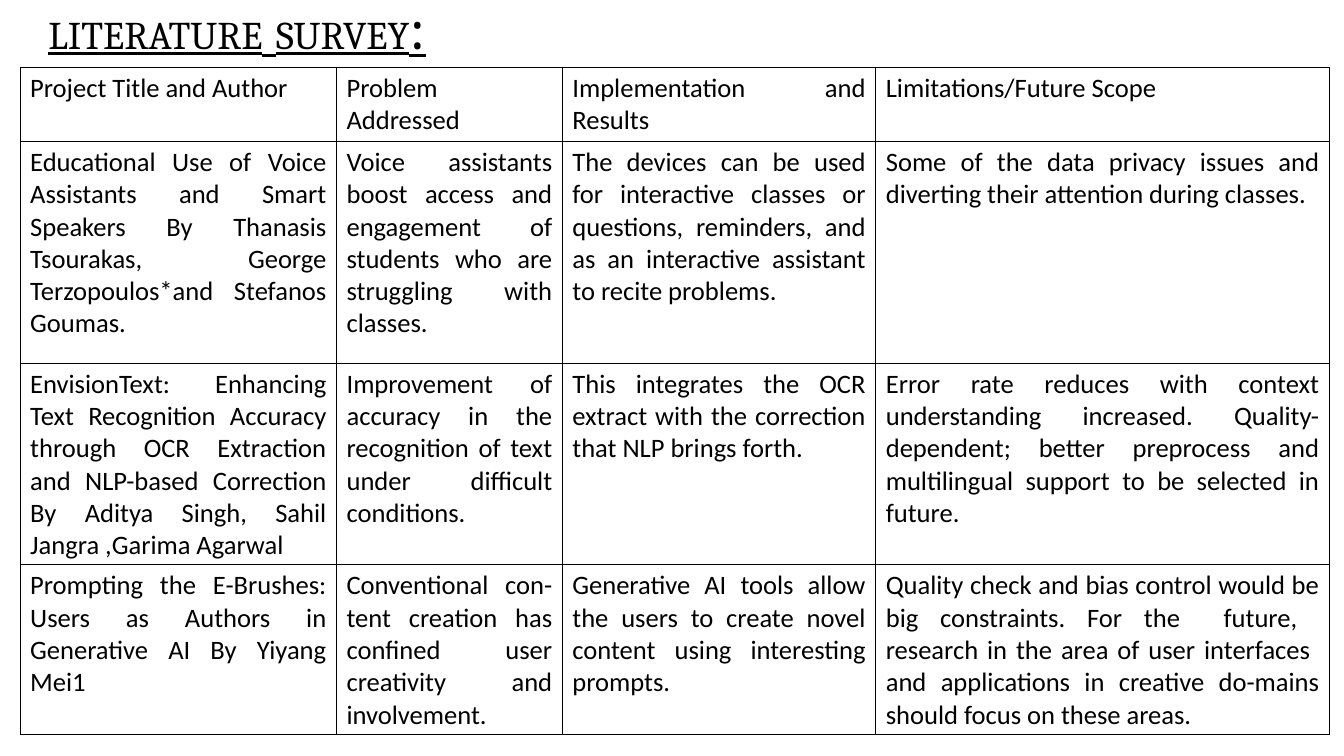
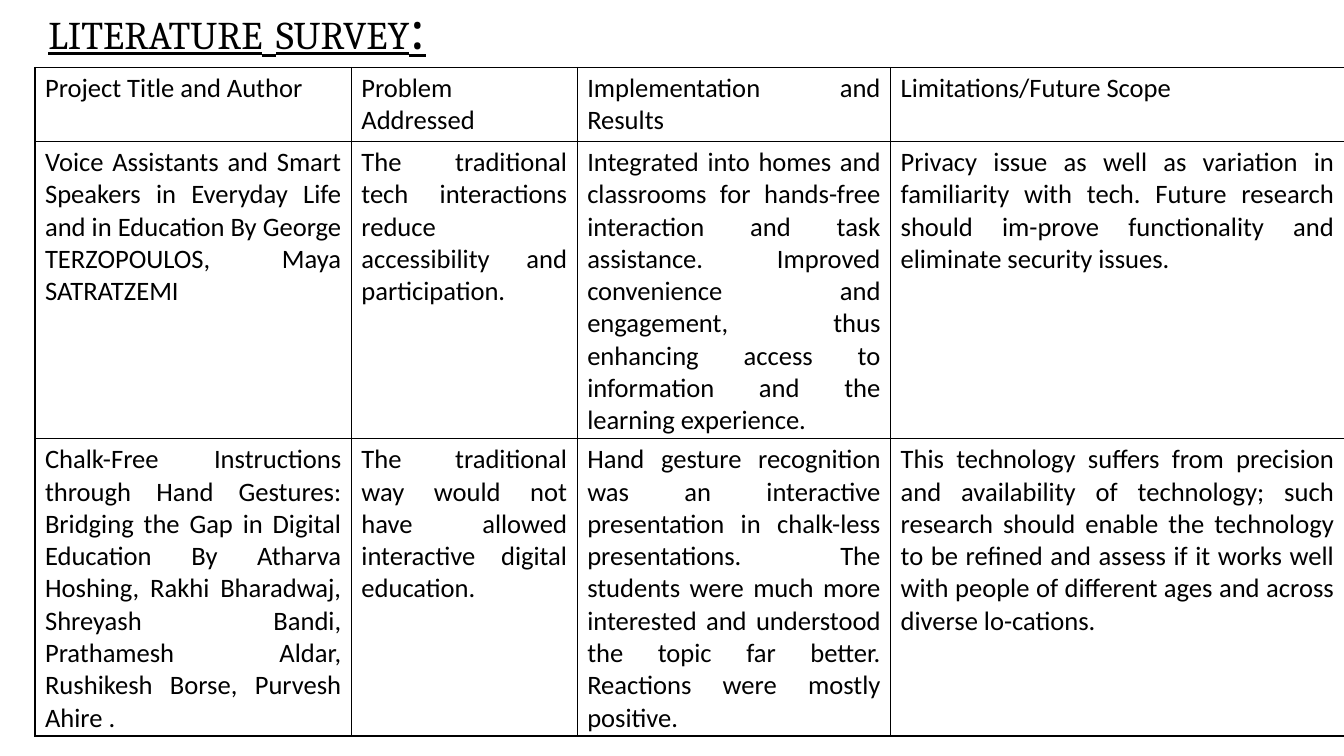
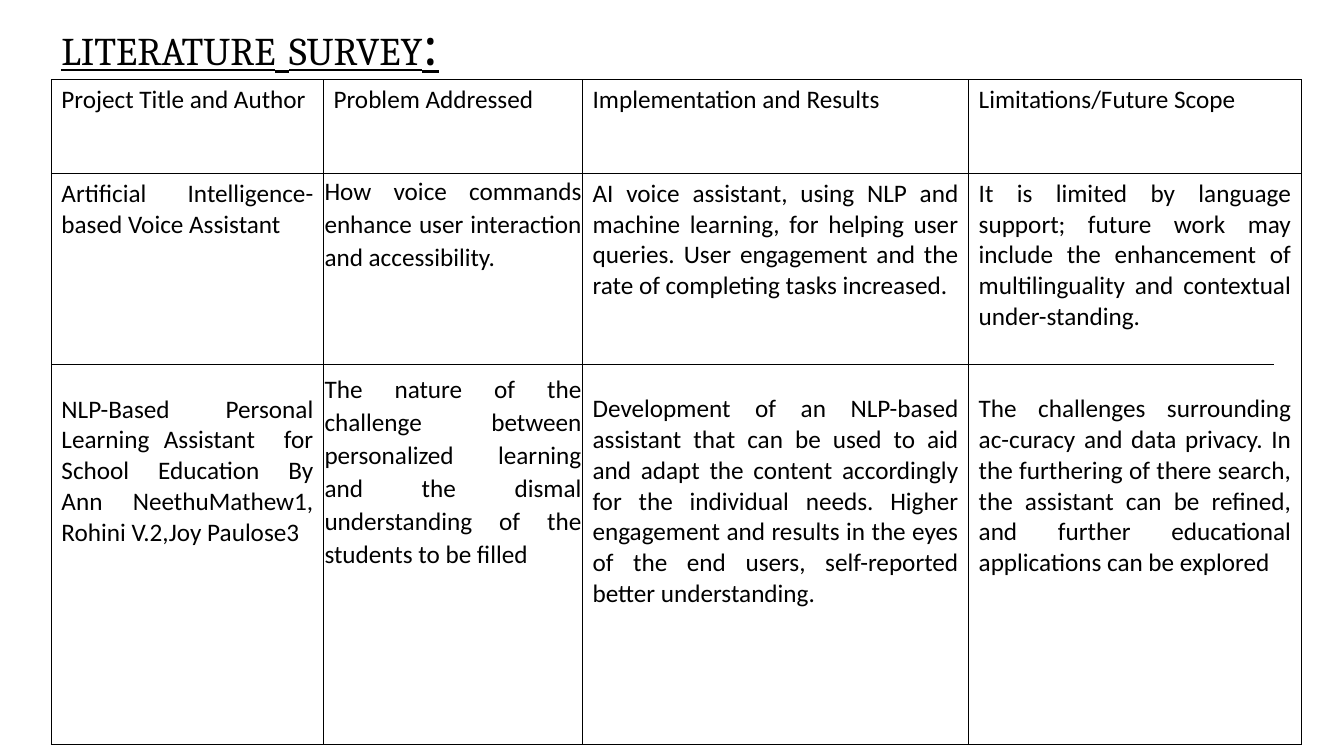
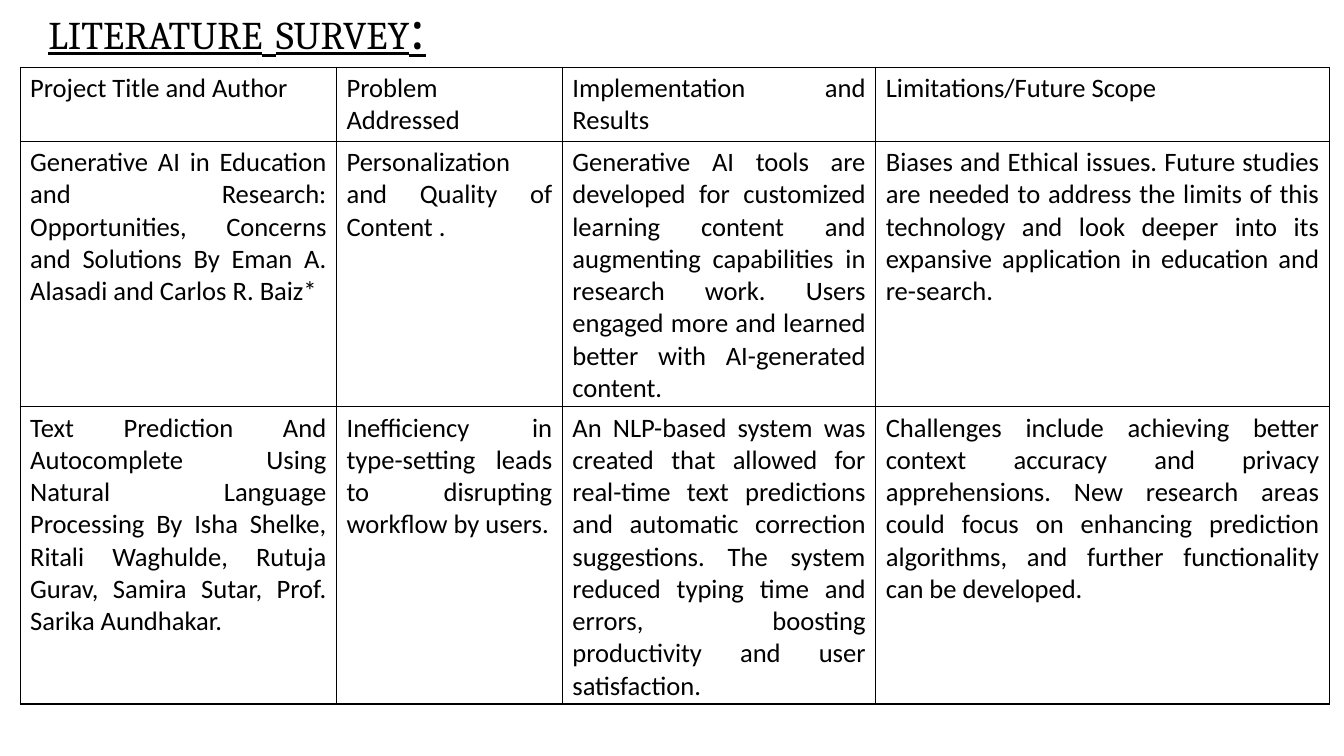
"""Build four literature survey slides, each a heading above a bordered table."""
from dataclasses import dataclass

from lxml import etree
from pptx import Presentation
from pptx.dml.color import RGBColor
from pptx.enum.shapes import MSO_CONNECTOR
from pptx.enum.text import MSO_AUTO_SIZE, PP_ALIGN
from pptx.oxml.ns import qn
from pptx.util import Pt

BLACK = RGBColor(0, 0, 0)
JUSTIFY = PP_ALIGN.JUSTIFY
GROW = MSO_AUTO_SIZE.SHAPE_TO_FIT_TEXT
STRAIGHT = MSO_CONNECTOR.STRAIGHT
TITLE_FONT, BODY_FONT = "Cambria", "Calibri"
TITLE_RUNS = (("LITERATURE", 28), (" ", 44), ("SURVEY", 28), (":", 44))
HEADERS = (
    "Project Title and Author",
    "Problem Addressed",
    "Implementation and Results",
    "Limitations/Future Scope",
)
BORDER_SIDES = ("a:lnL", "a:lnR", "a:lnT", "a:lnB")


@dataclass(frozen=True)
class Entry:
    """Two papers' remarks in one cell, with the gap between them."""
    first: str
    second: str
    gap: float
    tight: bool = False


@dataclass(frozen=True)
class Survey:
    """One slide: its table rows and its geometry in points."""
    rows: tuple
    row_heights: tuple
    table_height: float
    table_left: float = 14.4
    table_top: float = 48.2
    column_widths: tuple = (226, 161.3, 223.9, 324)
    text_size: float = 19
    title_left: float = 27.4
    title_top: float = -12.2
    title_width: float = 879
    divider: tuple = ()


SURVEYS = (
    Survey(
        rows=(
            (
                "Educational Use of Voice Assistants and Smart Speakers By Thanasis Tsourakas, George Terzopoulos*and Stefanos Goumas.",
                "Voice assistants boost access and engagement of students who are struggling with classes.",
                "The devices can be used for interactive classes or questions, reminders, and as an interactive assistant to recite problems.",
                "Some of the data privacy issues and diverting their attention during classes.",
            ),
            (
                "EnvisionText: Enhancing Text Recognition Accuracy through OCR Extraction and NLP-based Correction By Aditya Singh, Sahil Jangra ,Garima Agarwal",
                "Improvement of accuracy in the recognition of text under difficult conditions.",
                "This integrates the OCR extract with the correction that NLP brings forth.",
                "Error rate reduces with context understanding increased. Quality-dependent; better preprocess and multilingual support to be selected in future.",
            ),
            (
                "Prompting the E-Brushes: Users as Authors in Generative AI By Yiyang Mei1",
                "Conventional con-tent creation has confined user creativity and involvement.",
                "Generative AI tools allow the users to create novel content using interesting prompts.",
                "Quality check and bias control would be big constraints. For the  future,  research in the area of user interfaces  and applications in creative do-mains should focus on these areas.",
            ),
        ),
        row_heights=(50.4, 158.4, 115.2, 56.2),
        table_height=476.6,
    ),
    Survey(
        rows=(
            (
                "Voice Assistants and Smart Speakers in Everyday Life and in Education By George TERZOPOULOS, Maya SATRATZEMI",
                "The traditional tech interactions reduce accessibility and participation.",
                "Integrated into homes and classrooms for hands-free interaction and task assistance. Improved convenience and engagement, thus enhancing access to information and the learning experience.",
                "Privacy issue as well as variation in familiarity with tech. Future research should im-prove functionality and eliminate security issues.",
            ),
            (
                "Chalk-Free Instructions through Hand Gestures: Bridging the Gap in Digital Education By Atharva Hoshing, Rakhi Bharadwaj, Shreyash Bandi, Prathamesh Aldar, Rushikesh Borse, Purvesh Ahire .",
                "The traditional way would not have allowed interactive digital education.",
                "Hand gesture recognition was an interactive presentation in chalk-less presentations. The students were much more interested and understood the topic far better. Reactions were mostly positive.",
                "This technology suffers from precision and availability of technology; such research should enable the technology to be refined and assess if it works well with people of different ages and across diverse lo-cations.",
            ),
        ),
        row_heights=(50.4, 158.4, 114.5),
        table_height=477.4,
        table_left=25,
    ),
    Survey(
        rows=(
            (
                Entry(
                    "Artificial Intelligence-based Voice Assistant",
                    "NLP-Based Personal Learning Assistant  for School Education By Ann NeethuMathew1, Rohini V.2,Joy Paulose3",
                    110,
                ),
                Entry(
                    "How voice commands enhance user interaction and accessibility.",
                    "The nature of the challenge between personalized learning and the dismal understanding of the students to be filled",
                    63,
                    tight=True,
                ),
                Entry(
                    "AI voice assistant, using NLP and machine learning, for helping user queries. User engagement and the rate of completing tasks increased.",
                    "Development of an NLP-based assistant that can be used to aid and adapt the content accordingly for the individual needs. Higher engagement and results in the eyes of the end users, self-reported better understanding.",
                    66,
                ),
                Entry(
                    "It is limited by language support; future work may include the enhancement of multilinguality and contextual under-standing.",
                    "The challenges surrounding ac-curacy and data privacy. In the furthering of there search, the assistant can be refined, and further educational applications can be explored",
                    44,
                ),
            ),
        ),
        row_heights=(67, 408.2),
        table_height=475.2,
        table_left=36.7,
        table_top=56.9,
        column_widths=(194.4, 185, 275.8, 237.6),
        text_size=18,
        title_left=36.7,
        title_top=-0.7,
        title_width=327.6,
        divider=(36.7, 910, 260),
    ),
    Survey(
        rows=(
            (
                "Generative AI in Education and Research: Opportunities, Concerns and Solutions By Eman A. Alasadi and Carlos R. Baiz*",
                "Personalization and Quality of Content .",
                "Generative AI tools are developed for customized learning content and augmenting capabilities in research work. Users engaged more and learned better with AI-generated content.",
                "Biases and Ethical issues. Future studies are needed to address the limits of this technology and look deeper into its expansive application in education and re-search.",
            ),
            (
                "Text Prediction And Autocomplete Using Natural Language Processing By Isha Shelke, Ritali Waghulde, Rutuja Gurav, Samira Sutar, Prof. Sarika Aundhakar.",
                "Inefficiency in type-setting leads to disrupting workflow by users.",
                "An NLP-based system was created that allowed for real-time text predictions and automatic correction suggestions. The system reduced typing time and errors, boosting productivity and user satisfaction.",
                "Challenges include achieving better context accuracy and privacy apprehensions. New research areas could focus on enhancing prediction algorithms, and further functionality can be developed.",
            ),
        ),
        row_heights=(50.4, 158.4, 175),
        table_height=455,
    ),
)


def add_title(slide, survey: Survey) -> None:
    """Write the underlined heading."""
    heading = slide.shapes.add_textbox(
        Pt(survey.title_left), Pt(survey.title_top), Pt(survey.title_width), Pt(60.5)
    )
    frame = heading.text_frame
    frame.word_wrap = True
    frame.auto_size = GROW
    paragraph = frame.paragraphs[0]
    paragraph.font.name = TITLE_FONT
    paragraph.font.underline = True
    paragraph.font.color.rgb = BLACK
    for text, size in TITLE_RUNS:
        run = paragraph.add_run()
        run.text = text
        run.font.size = Pt(size)


def add_borders(cell) -> None:
    """Draw a thin black line on each side of a cell."""
    properties = cell._tc.get_or_add_tcPr()
    for position, side in enumerate(BORDER_SIDES):
        line = etree.Element(qn(side), w=str(Pt(1)))
        fill = etree.SubElement(line, qn("a:solidFill"))
        etree.SubElement(fill, qn("a:srgbClr"), val=str(BLACK))
        properties.insert(position, line)


def fill_cell(cell, content: str | Entry, size: float) -> None:
    """Write one cell's remarks and style it."""
    cell.fill.background()
    add_borders(cell)
    frame = cell.text_frame
    if isinstance(content, Entry):
        frame.text = f"{content.first}\n{content.second}"
        frame.paragraphs[1].space_before = Pt(content.gap)
        if content.tight:
            cell.margin_left = cell.margin_right = Pt(0.7)
            cell.margin_top = cell.margin_bottom = Pt(0.7)
            for paragraph in frame.paragraphs:
                paragraph.line_spacing = 1.07
                paragraph.space_after = Pt(8)
    else:
        frame.text = content
    for paragraph in frame.paragraphs:
        paragraph.alignment = JUSTIFY
        paragraph.font.name = BODY_FONT
        paragraph.font.size = Pt(size)
        paragraph.font.color.rgb = BLACK


def add_survey_table(slide, survey: Survey) -> None:
    """Draw the header row and the papers below it."""
    rows = (HEADERS, *survey.rows)
    holder = slide.shapes.add_table(
        len(rows), len(HEADERS), Pt(survey.table_left), Pt(survey.table_top),
        Pt(sum(survey.column_widths)), Pt(survey.table_height),
    )
    table = holder.table
    table.first_row = table.horz_banding = False
    for column, width in zip(table.columns, survey.column_widths):
        column.width = Pt(width)
    for row, height, contents in zip(table.rows, survey.row_heights, rows):
        row.height = Pt(height)
        for cell, content in zip(row.cells, contents):
            fill_cell(cell, content, survey.text_size)
    holder.height = Pt(survey.table_height)


def add_divider(slide, left: float, right: float, top: float) -> None:
    """Draw the line between two papers sharing a row."""
    divider = slide.shapes.add_connector(STRAIGHT, Pt(left), Pt(top), Pt(right), Pt(top))
    divider.line.color.rgb = BLACK
    divider.line.width = Pt(0.5)
    etree.SubElement(divider._element.spPr, qn("a:effectLst"))


def main() -> None:
    """Build and save the presentation."""
    presentation = Presentation()
    presentation.slide_width, presentation.slide_height = Pt(960), Pt(540)
    blank = presentation.slide_layouts[6]
    for survey in SURVEYS:
        slide = presentation.slides.add_slide(blank)
        add_title(slide, survey)
        add_survey_table(slide, survey)
        if survey.divider:
            add_divider(slide, *survey.divider)
    presentation.save("out.pptx")


if __name__ == "__main__":
    main()
